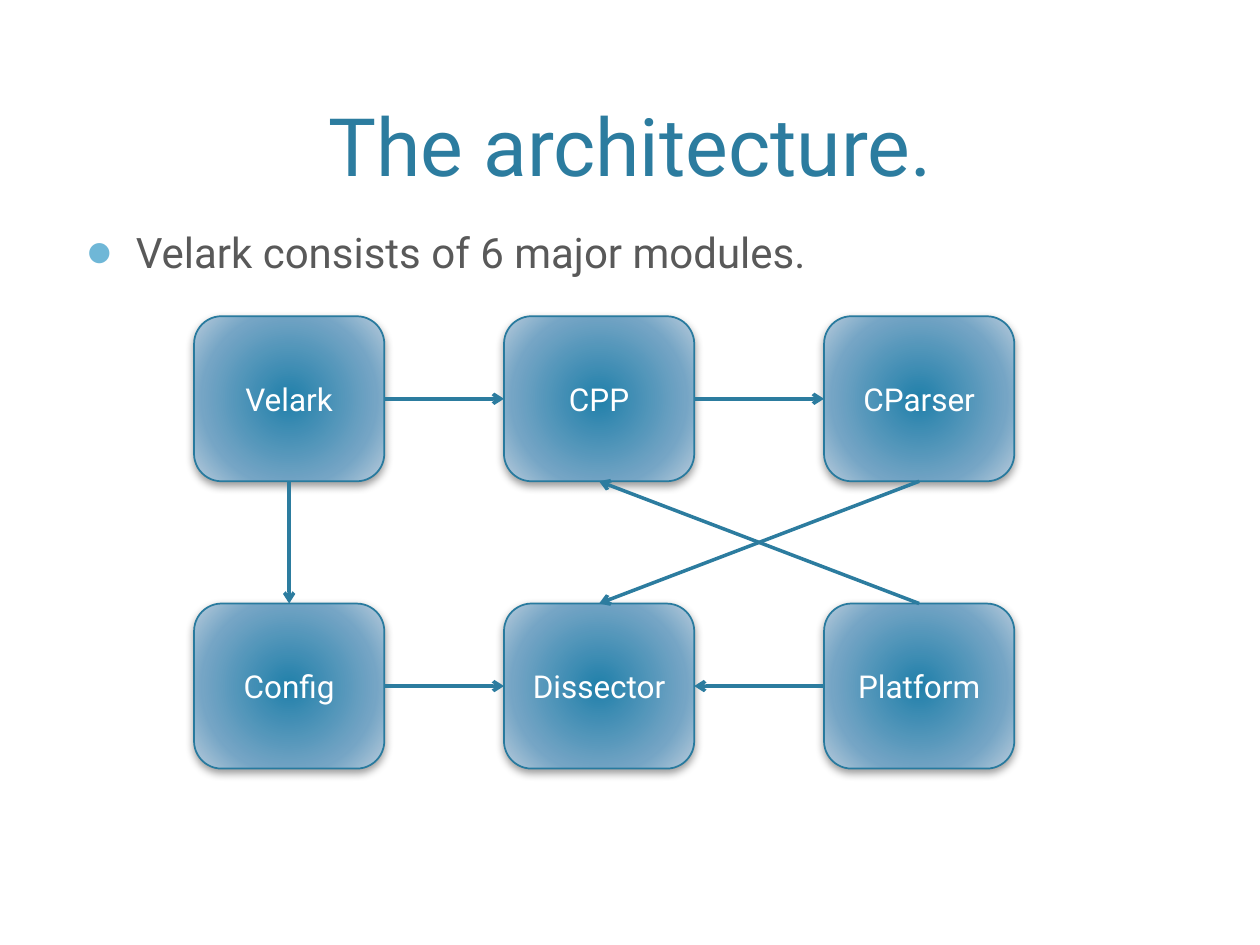
from dataclasses import dataclass

from pptx import Presentation
from pptx.dml.color import RGBColor
from pptx.enum.shapes import MSO_CONNECTOR, MSO_SHAPE
from pptx.enum.text import MSO_ANCHOR, PP_ALIGN
from pptx.oxml import parse_xml
from pptx.oxml.ns import nsdecls
from pptx.util import Inches, Pt

COLORS = {"title": "2C7C9F", "body": "595959", "bullet": "6FB7D7", "label": "FFFFFF",
          "border": "287A9E", "arrow": "2C7C9F", "shadow": "000000"}
GRADIENT = {0: "2180AA", 69: "75A5C5", 100: "B8CCDC"}
FONT = "Roboto"
TOOL = "Velark"
COLUMNS = (1.54, 4, 6.54)
ROWS = (2.51, 4.79)
BOX_W, BOX_H = 1.51, 1.31
MARGIN, CONTENT_W = 0.6, 8.8
TOP, LEFT, BOTTOM, RIGHT = range(4)


@dataclass(frozen=True)
class Module:
    name: str
    col: int
    row: int


@dataclass(frozen=True)
class Link:
    source: str
    source_side: int
    target: str
    target_side: int


MODULES = (
    Module(TOOL, 0, 0), Module("CParser", 2, 0), Module("Config", 0, 1),
    Module("CPP", 1, 0), Module("Dissector", 1, 1), Module("Platform", 2, 1),
)
LINKS = (
    Link(TOOL, BOTTOM, "Config", TOP),
    Link(TOOL, RIGHT, "CPP", LEFT),
    Link("CPP", RIGHT, "CParser", LEFT),
    Link("CParser", BOTTOM, "Dissector", TOP),
    Link("Platform", LEFT, "Dissector", RIGHT),
    Link("Config", RIGHT, "Dissector", LEFT),
    Link("Platform", TOP, "CPP", BOTTOM),
)


def element(xml: str):
    """Parse a drawing fragment whose root tag lacks its namespace."""
    tag, rest = xml[1:].split(" ", 1)
    return parse_xml(f"<{tag} {nsdecls('a')} {rest}")


def write(s, text: str, size: int, color: str, align, anchor):
    """Put one formatted line of text in a shape and return its paragraph."""
    tf = s.text_frame
    for name, value in {"word_wrap": True, "vertical_anchor": anchor}.items():
        setattr(tf, name, value)
    p = tf.paragraphs[0]
    p.alignment = align
    r = p.add_run()
    r.text = text
    for name, value in {"name": FONT, "size": Pt(size)}.items():
        setattr(r.font, name, value)
    r.font.color.rgb = RGBColor.from_string(COLORS[color])
    return p


def add_title(slide, text: str) -> None:
    """Move and fill the title placeholder."""
    s = slide.shapes.title
    place = {"left": MARGIN, "top": 0.12, "width": CONTENT_W, "height": 1.46}
    for name, value in place.items():
        setattr(s, name, Inches(value))
    write(s, text, 46, "title", PP_ALIGN.CENTER, MSO_ANCHOR.BOTTOM)


def add_bullet(slide, text: str) -> None:
    """Add the bulleted statement under the title."""
    s = slide.shapes.add_textbox(Inches(MARGIN), Inches(1.75), Inches(CONTENT_W), Inches(0.57))
    p = write(s, text, 24, "body", PP_ALIGN.LEFT, MSO_ANCHOR.TOP)
    p.space_before = Pt(20)
    props = p._p.get_or_add_pPr()
    indent = Inches(0.38)
    props.set("marL", str(indent))
    props.set("indent", str(-indent))
    for xml in (f'<a:buClr ><a:srgbClr val="{COLORS["bullet"]}"/></a:buClr>',
                '<a:buSzPct val="63000"/>', f'<a:buFont typeface="{FONT}"/>',
                '<a:buChar char="●"/>'):
        props.append(element(xml))


def add_module(slide, module: Module):
    """Draw a module box with a radial gradient and a soft shadow."""
    s = slide.shapes.add_shape(
        MSO_SHAPE.ROUNDED_RECTANGLE, Inches(COLUMNS[module.col]), Inches(ROWS[module.row]),
        Inches(BOX_W), Inches(BOX_H))
    s.shadow.inherit = False
    s.line.color.rgb = RGBColor.from_string(COLORS["border"])
    s.line.width = Pt(1)
    stops = "".join(f'<a:gs pos="{pos * 1000}"><a:srgbClr val="{color}"/></a:gs>'
                    for pos, color in GRADIENT.items())
    props = s._element.spPr
    props.find("{*}prstGeom").addnext(element(
        f'<a:gradFill rotWithShape="1"><a:gsLst>{stops}</a:gsLst><a:path path="circle">'
        '<a:fillToRect l="100000" t="100000" r="100000" b="100000"/></a:path></a:gradFill>'))
    props.find("{*}effectLst").append(element(
        f'<a:outerShdw blurRad="{Pt(5)}" dist="{Pt(2)}" dir="5400000" rotWithShape="0">'
        f'<a:srgbClr val="{COLORS["shadow"]}"><a:alpha val="40000"/></a:srgbClr></a:outerShdw>'))
    write(s, module.name, 18, "label", PP_ALIGN.CENTER, MSO_ANCHOR.MIDDLE)
    return s


def add_link(slide, link: Link, boxes: dict) -> None:
    """Join two module boxes with an arrow."""
    s = slide.shapes.add_connector(MSO_CONNECTOR.STRAIGHT, 0, 0, 0, 0)
    s.begin_connect(boxes[link.source], link.source_side)
    s.end_connect(boxes[link.target], link.target_side)
    s.line.color.rgb = RGBColor.from_string(COLORS["arrow"])
    s.line.width = Pt(2)
    s.line._get_or_add_ln().append(element('<a:tailEnd type="arrow"/>'))
    s._element.spPr.append(element("<a:effectLst />"))


def main() -> None:
    """Build the architecture slide and save it."""
    prs = Presentation()
    prs.slide_width, prs.slide_height = Inches(10), Inches(7.5)
    slide = prs.slides.add_slide(prs.slide_layouts[5])
    add_title(slide, "The architecture.")
    add_bullet(slide, f"{TOOL} consists of 6 major modules.")
    boxes = {module.name: add_module(slide, module) for module in MODULES}
    for link in LINKS:
        add_link(slide, link, boxes)
    prs.save("out.pptx")


if __name__ == "__main__":
    main()
